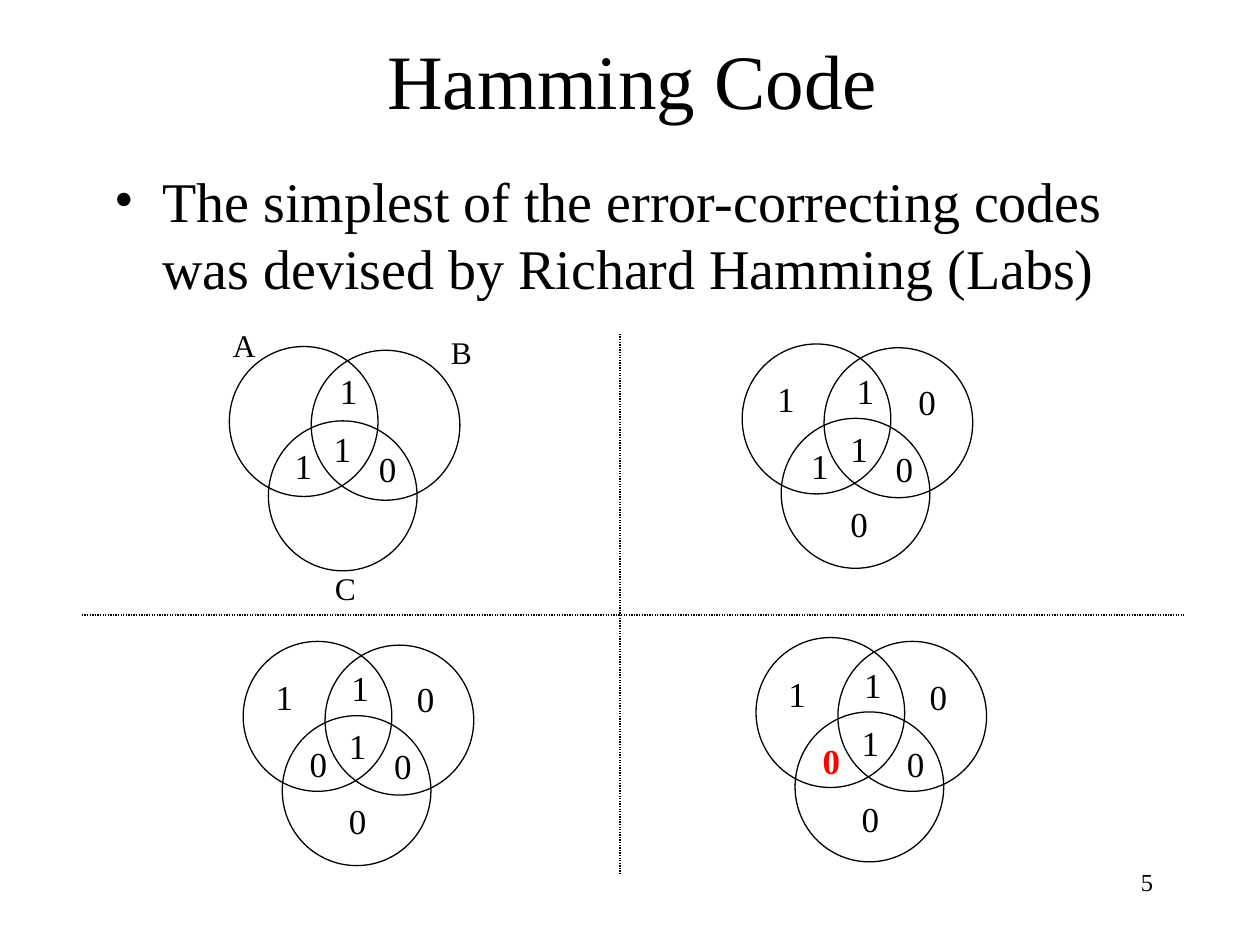
"""Build a slide showing Hamming code parity as four Venn diagrams."""
from lxml import etree
from pptx import Presentation
from pptx.dml.color import RGBColor
from pptx.enum.dml import MSO_LINE
from pptx.enum.shapes import MSO_CONNECTOR, MSO_SHAPE
from pptx.enum.text import MSO_ANCHOR, MSO_AUTO_SIZE, PP_ALIGN
from pptx.oxml.ns import qn
from pptx.util import Inches, Pt

OVAL = MSO_SHAPE.OVAL
STRAIGHT = MSO_CONNECTOR.STRAIGHT
DOTTED = MSO_LINE.ROUND_DOT
LEFT, CENTER, RIGHT = PP_ALIGN.LEFT, PP_ALIGN.CENTER, PP_ALIGN.RIGHT
MIDDLE = MSO_ANCHOR.MIDDLE
FIT_TEXT = MSO_AUTO_SIZE.SHAPE_TO_FIT_TEXT
BLACK, RED = "000000", "FF0000"
FONT = "Times New Roman"


def color(hex_code):
    return RGBColor.from_string(hex_code)


def add_text(text, left, top, width, height, size, align=LEFT, wrap=False,
             hex_code=BLACK, bullet=None):
    box = slide.shapes.add_textbox(Inches(left), Inches(top), Inches(width), Inches(height))
    frame = box.text_frame
    frame.word_wrap = wrap
    if not wrap:
        frame.auto_size = FIT_TEXT
    paragraph = frame.paragraphs[0]
    paragraph.text = text
    paragraph.alignment = align
    if bullet:
        properties = paragraph._p.get_or_add_pPr()
        properties.set("marL", str(Inches(0.38)))
        properties.set("indent", str(Inches(-0.38)))
        etree.SubElement(properties, qn("a:buFont")).set("typeface", FONT)
        etree.SubElement(properties, qn("a:buChar")).set("char", bullet)
    paragraph.font.name = FONT
    paragraph.font.size = Pt(size)
    paragraph.font.color.rgb = color(hex_code)
    paragraph.font.bold = hex_code == RED
    return frame


prs = Presentation()
prs.slide_width, prs.slide_height = Inches(10), Inches(7.5)
slide = prs.slides.add_slide(prs.slide_layouts[6])

title = add_text("Hamming Code", 0.77, 0, 8.5, 1.25, 44, CENTER, True)
title.vertical_anchor = MIDDLE
add_text("The simplest of the error-correcting codes was devised by Richard Hamming (Labs)",
         0.81, 1.27, 8.5, 1.29, 32, wrap=True, bullet="•")
add_text("5", 7.17, 6.83, 2.08, 0.5, 14, RIGHT, True)

circle_offsets = [(0, 0), (0.65, 0.03), (0.31, 0.59)]
region_offsets = {
    "ABC": (0, 0), "AB": (0.05, -0.46), "AC": (-0.31, 0.14), "BC": (0.36, 0.16),
    "A": (-0.58, -0.39), "B": (0.54, -0.37), "C": (0, 0.6),
}
data_bits = {"ABC": "1", "AB": "1", "AC": "1", "BC": "0"}
codeword = {**data_bits, "A": "1", "B": "0", "C": "0"}
corrupted = {**codeword, "AC": "0"}

# circles' corner, central digit's corner, shift of the AB digit, bits, flagged region
venn_diagrams = [
    ((1.82, 2.75), (2.55, 3.34), 0, data_bits, None),
    ((5.89, 2.73), (6.65, 3.34), 0, codeword, None),
    ((1.93, 5.09), (2.67, 5.7), -0.03, corrupted, None),
    ((6, 5.06), (6.74, 5.68), -0.03, corrupted, "AC"),
]
for (circle_x, circle_y), (digit_x, digit_y), ab_shift, bits, flagged in venn_diagrams:
    for dx, dy in circle_offsets:
        circle = slide.shapes.add_shape(OVAL, Inches(circle_x + dx), Inches(circle_y + dy),
                                        Inches(1.18), Inches(1.19))
        circle.shadow.inherit = False
        circle.fill.background()
        circle.line.color.rgb = color(BLACK)
        circle.line.width = Pt(0.75)
    for region, bit in bits.items():
        dx, dy = region_offsets[region]
        shift = ab_shift if region == "AB" else 0
        add_text(bit, digit_x + dx + shift, digit_y + dy, 0.34, 0.43, 20,
                 hex_code=RED if region == flagged else BLACK)

for set_name, left, top in [("A", 1.75, 2.54), ("B", 3.48, 2.59), ("C", 2.56, 4.47)]:
    add_text(set_name, left, top, 0.37, 0.4, 18)

for ends in [(0.65, 4.88, 9.4, 4.88), (4.92, 2.65, 4.92, 6.94)]:
    divider = slide.shapes.add_connector(STRAIGHT, *map(Inches, ends))
    divider.line.color.rgb = color(BLACK)
    divider.line.width = Pt(0.75)
    divider.line.dash_style = DOTTED
    etree.SubElement(divider._element.spPr, qn("a:effectLst"))

prs.save("out.pptx")
